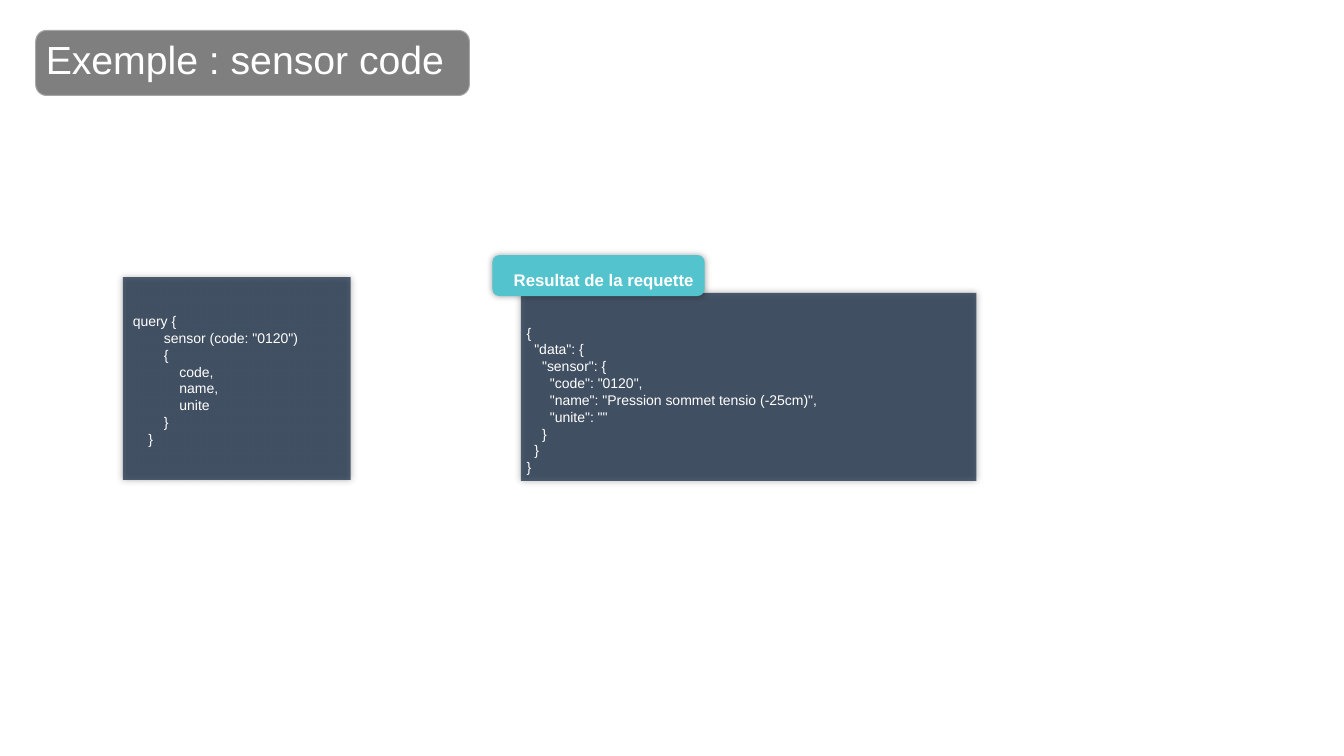
from dataclasses import dataclass
from typing import Optional

from lxml.etree import SubElement
from pptx import Presentation
from pptx.dml.color import RGBColor
from pptx.enum.shapes import MSO_SHAPE
from pptx.enum.text import MSO_ANCHOR, MSO_AUTO_SIZE, PP_ALIGN
from pptx.oxml.ns import qn
from pptx.util import Emu, Pt

PX = 9525
FONT = "Arial"
INDENT_STEP = Pt(5.56)
COLORS = {
    "navy": "0F243E",
    "teal": "53C3CD",
    "black": "000000",
    "gray": "A6A6A6",
    "white": "FFFFFF",
}


@dataclass(frozen=True)
class Panel:
    box: tuple[int, int, int, int]
    fill: str
    opacity: int = 100
    rounding: Optional[float] = None
    line: Optional[str] = None
    shadow: bool = True


@dataclass(frozen=True)
class Text:
    box: tuple[int, int, int, int]
    lines: tuple[tuple[int, str], ...]  # indent level, wording
    size: int = 10
    bold: bool = False
    align: PP_ALIGN = PP_ALIGN.JUSTIFY


QUERY_PANEL = Panel((117, 264, 217, 193), "navy", 70)
RESULT_PANEL = Panel((496, 279, 434, 179), "navy", 70)
RESULT_TAB = Panel((469, 243, 202, 39), "teal", rounding=0.167)
TITLE_PANEL = Panel((34, 29, 413, 62), "black", 50, 0.167, "gray", False)

QUERY_CODE = Text((117, 293, 230, 139), (
    (0, "query {"),
    (4, 'sensor (code: "0120")'),
    (4, "{"),
    (6, "code,"),
    (6, "name,"),
    (6, "unite"),
    (4, "}"),
    (2, "}"),
))
RESULT_LABEL = Text((478, 252, 194, 25), ((0, "Resultat de la requette"),),
                    12, True, PP_ALIGN.CENTER)
RESULT_CODE = Text((492, 304, 421, 132), (
    (0, "{"),
    (1, '"data": {'),
    (2, '"sensor": {'),
    (3, '"code": "0120",'),
    (3, '"name": "Pression sommet tensio (-25cm)",'),
    (3, '"unite": ""'),
    (2, "}"),
    (1, "}"),
    (0, "}"),
))
TITLE = Text((34, 36, 552, 46), ((0, "Exemple : sensor code"),),
             28, align=PP_ALIGN.LEFT)


def set_all(target, values: dict) -> None:
    for name, value in values.items():
        setattr(target, name, value)


def place(shape, box: tuple[int, int, int, int]) -> None:
    lengths = (Emu(value * PX) for value in box)
    set_all(shape, dict(zip(("left", "top", "width", "height"), lengths)))


def set_alpha(color_element, percent: int) -> None:
    SubElement(color_element, qn("a:alpha"), val=str(percent * 1000))


def add_shadow(shape) -> None:
    effects = shape._element.spPr.find(qn("a:effectLst"))
    shadow = SubElement(effects, qn("a:outerShdw"), blurRad=str(Pt(5)),
                        dist="0", dir="0", algn="ctr", rotWithShape="0")
    set_alpha(SubElement(shadow, qn("a:srgbClr"), val=COLORS["black"]), 40)


def add_panel(slide, panel: Panel) -> None:
    rounded = panel.rounding is not None
    kind = MSO_SHAPE.ROUNDED_RECTANGLE if rounded else MSO_SHAPE.RECTANGLE
    shape = slide.shapes.add_shape(kind, 0, 0, 0, 0)
    place(shape, panel.box)
    if rounded:
        shape.adjustments[0] = panel.rounding
    shape.fill.solid()
    shape.fill.fore_color.rgb = RGBColor.from_string(COLORS[panel.fill])
    if panel.opacity < 100:
        set_alpha(shape._element.spPr.find(f".//{qn('a:srgbClr')}"), panel.opacity)
    if panel.line:
        shape.line.color.rgb = RGBColor.from_string(COLORS[panel.line])
        shape.line.width = Pt(0.75)
    else:
        shape.line.fill.background()
    shape.shadow.inherit = False
    if panel.shadow:
        add_shadow(shape)


def write_text(shape, text: Text) -> None:
    place(shape, text.box)
    frame = shape.text_frame
    set_all(frame, {"word_wrap": True, "auto_size": MSO_AUTO_SIZE.NONE})
    for index, (level, wording) in enumerate(text.lines):
        para = frame.add_paragraph() if index else frame.paragraphs[0]
        para.alignment = text.align
        if level:
            para._p.get_or_add_pPr().set("marL", str(level * INDENT_STEP))
        span = para.add_run()
        span.text = wording
        set_all(span.font, {"name": FONT, "size": Pt(text.size), "bold": text.bold})
        span.font.color.rgb = RGBColor.from_string(COLORS["white"])


def add_text(slide, text: Text) -> None:
    write_text(slide.shapes.add_textbox(0, 0, 0, 0), text)


def add_title(slide, text: Text) -> None:
    title = slide.shapes.title
    write_text(title, text)
    title.text_frame.vertical_anchor = MSO_ANCHOR.MIDDLE
    set_all(title.text_frame.paragraphs[0],
            {"line_spacing": 0.9, "space_before": Pt(10)})
    # Bring the title in front of its panel
    slide.shapes._spTree.append(title._element)


def main() -> None:
    deck = Presentation()
    set_all(deck, {"slide_width": Emu(1280 * PX), "slide_height": Emu(720 * PX)})
    page = deck.slides.add_slide(deck.slide_layouts[5])

    # Query
    add_panel(page, QUERY_PANEL)
    add_text(page, QUERY_CODE)

    # Result with its tab
    add_panel(page, RESULT_PANEL)
    add_panel(page, RESULT_TAB)
    add_text(page, RESULT_LABEL)
    add_text(page, RESULT_CODE)

    # Title
    add_panel(page, TITLE_PANEL)
    add_title(page, TITLE)

    deck.save("out.pptx")


if __name__ == "__main__":
    main()
